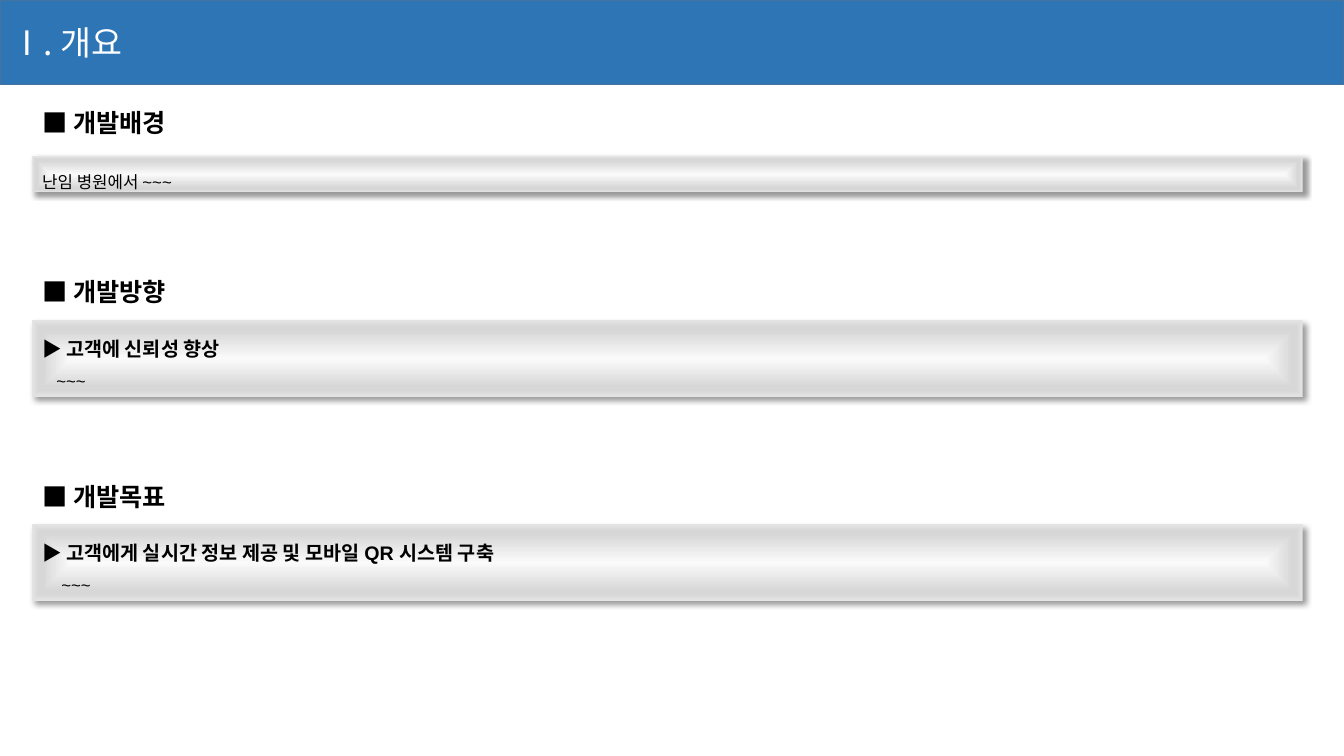
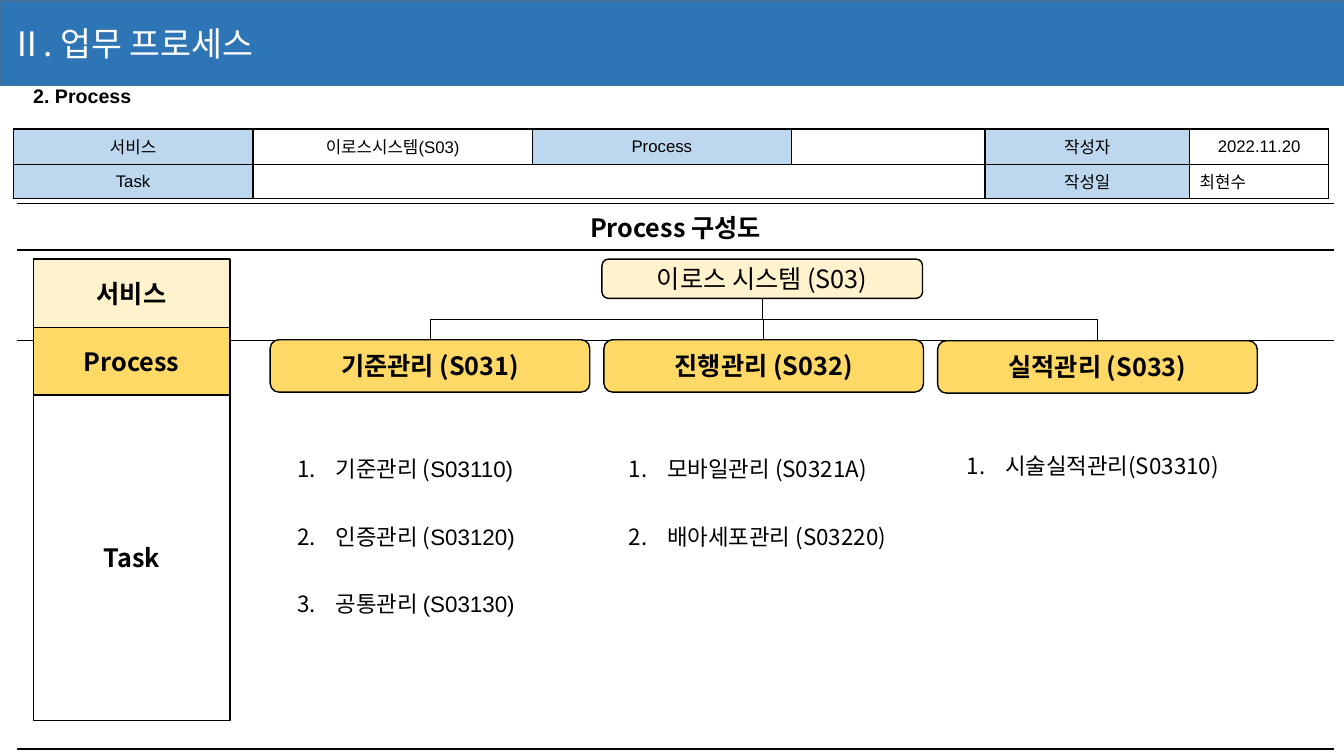
from dataclasses import dataclass
from typing import NamedTuple

from lxml.etree import SubElement as Sub, fromstring as parsed
from pptx import Presentation
from pptx.dml.color import RGBColor as Rgb
from pptx.enum.shapes import MSO_CONNECTOR as Link, MSO_SHAPE as Form
from pptx.enum.text import MSO_ANCHOR as Anchor, MSO_AUTO_SIZE as Fit, PP_ALIGN as Align
from pptx.oxml.ns import nsdecls, qn
from pptx.util import Pt

SCALE = 9144
WIDE, HIGH = 1333, 750


class Look(NamedTuple):
    size: int
    font: str
    bold: bool = False
    color: str = "000000"


@dataclass(frozen=True)
class Theme:
    sans: str = "Noto Sans CJK KR"
    plain: str = "Arial"
    ink: str = "000000"
    band: str = "2E75B6"
    edge: str = "43739E"
    cream: str = "FFF2CC"
    gold: str = "FFD966"
    sky: str = "BDD7EE"
    glow: tuple = ((0, "FAFAFA"), (74, "D7D7D7"), (83, "D7D7D7"), (100, "E4E4E4"))
    bare: str = "{2D5ABB26-0587-4C30-8999-92F81FD0307C}"

    title = Look(24, sans, color="FFFFFF")
    head = Look(18, sans, True)
    root = Look(18, sans)
    item = Look(16, sans)
    lead = Look(14, plain, True)
    body = Look(12, plain)


T = Theme()


class Box(NamedTuple):
    x: int
    y: int
    w: int
    h: int

    def emu(self) -> list:
        return [px(v) for v in self]


class Line(NamedTuple):
    text: str
    look: Look
    inset: int = 0


class Part(NamedTuple):
    head: str
    top: int
    panel: Box
    lines: list


class Node(NamedTuple):
    text: str
    box: Box
    fill: str | None
    look: Look = T.head
    form: Form = Form.RECTANGLE


class Tasks(NamedTuple):
    box: Box
    items: list


def px(size: int) -> int:
    return round(size * SCALE)


def style(para, look: Look) -> None:
    font = para.font
    font.size, font.bold, font.name = Pt(look.size), look.bold, look.font
    font.color.rgb = Rgb.from_string(look.color)
    props = para._p.pPr.find(qn("a:defRPr"))
    Sub(props, qn("a:ea")).set("typeface", T.sans)


def paint(shape, fill: str | None, line: str | None) -> None:
    if fill:
        shape.fill.solid()
        shape.fill.fore_color.rgb = Rgb.from_string(fill)
    else:
        shape.fill.background()
    if line:
        shape.line.color.rgb = Rgb.from_string(line)
        shape.line.width = Pt(1)
    else:
        shape.line.fill.background()


def frame(shape, anchor=Anchor.TOP, wrap=True):
    text = shape.text_frame
    text.word_wrap, text.auto_size, text.vertical_anchor = wrap, Fit.NONE, anchor
    return text


def start(deck, name: str, top: int):
    slide = deck.slides.add_slide(deck.slide_layouts[5])
    title = slide.shapes.title
    title.left, title.top, title.width, title.height = Box(0, top, WIDE, 84).emu()
    paint(title, T.band, T.edge)
    para = frame(title, Anchor.MIDDLE).paragraphs[0]
    para.text, para.alignment = name, Align.LEFT
    style(para, T.title)
    return slide


def label(slide, text: str, box: Box, look: Look, anchor=Anchor.TOP) -> None:
    para = frame(slide.shapes.add_textbox(*box.emu()), anchor, False).paragraphs[0]
    para.text = text
    style(para, look)


def panel(slide, box: Box, lines: list) -> None:
    shape = slide.shapes.add_shape(Form.RECTANGLE, *box.emu())
    shape.line.fill.background()
    shape.shadow.inherit = False
    stops = "".join(
        f'<a:gs pos="{pos * 1000}"><a:srgbClr val="{color}"/></a:gs>' for pos, color in T.glow
    )
    props = shape.element.spPr
    props.find(qn("a:prstGeom")).addnext(parsed(
        f'<a:gradFill {nsdecls("a")} rotWithShape="1"><a:gsLst>{stops}</a:gsLst>'
        '<a:path path="shape"><a:fillToRect l="50000" t="50000" r="50000" b="50000"/>'
        "</a:path></a:gradFill>"
    ))
    props.find(qn("a:effectLst")).append(parsed(
        f'<a:outerShdw {nsdecls("a")} blurRad="{Pt(4)}" dist="{Pt(3)}" dir="2700000" '
        'algn="tl" rotWithShape="0"><a:srgbClr val="000000"><a:alpha val="40000"/>'
        "</a:srgbClr></a:outerShdw>"
    ))
    text = frame(shape)
    for i, line in enumerate(lines):
        para = text.add_paragraph() if i else text.paragraphs[0]
        para.text, para.alignment, para.line_spacing = line.text, Align.LEFT, 1.5
        para._p.get_or_add_pPr().set("marL", str(px(line.inset)))
        style(para, line.look)


def draw(slide, node: Node):
    shape = slide.shapes.add_shape(node.form, *node.box.emu())
    shape.shadow.inherit = False
    paint(shape, node.fill, T.ink)
    para = frame(shape, Anchor.MIDDLE).paragraphs[0]
    para.text, para.alignment = node.text, Align.CENTER
    style(para, node.look)
    return shape


def join(slide, root, node) -> None:
    link = slide.shapes.add_connector(Link.ELBOW, 0, 0, 0, 0)
    link.begin_connect(root, 2)
    link.end_connect(node, 0)
    x, y = link.begin_x, link.begin_y
    run, drop = link.end_x - x, link.end_y - y
    link.left, link.top = x + (run - drop) // 2, y + (drop - abs(run)) // 2
    link.width, link.height = drop, abs(run)
    props = link.element.spPr
    xfrm = props.find(qn("a:xfrm"))
    for flip in ("flipH", "flipV"):
        xfrm.attrib.pop(flip, None)
    xfrm.set("rot", "5400000" if run < 0 else "16200000")
    if run >= 0:
        xfrm.set("flipH", "1")
    link.line.color.rgb = Rgb.from_string(T.ink)
    link.line.width = Pt(0.5)
    Sub(props, qn("a:effectLst"))


def tasks(slide, group: Tasks) -> None:
    text = frame(slide.shapes.add_textbox(*group.box.emu()))
    for i, runs in enumerate(group.items):
        para = text.add_paragraph() if i else text.paragraphs[0]
        para.line_spacing = 2.5
        props = para._p.get_or_add_pPr()
        props.set("marL", str(px(38)))
        props.set("indent", str(px(-38)))
        Sub(props, qn("a:buAutoNum")).set("type", "arabicPeriod")
        style(para, T.item)
        for words, font in runs:
            run = para.add_run()
            run.text = words
            if font != T.item.font:
                run.font.name = font


def grid(slide, x: int, y: int, cols: list, rows: list):
    box = Box(x, y, sum(cols), sum(rows))
    holder = slide.shapes.add_table(len(rows), len(cols), *box.emu())
    table = holder.table
    table.first_row = table.horz_banding = False
    table._tbl.tblPr.find(qn("a:tableStyleId")).text = T.bare
    for col, size in zip(table.columns, cols):
        col.width = px(size)
    for row, size in zip(table.rows, rows):
        row.height = px(size)
    return table


def cell(spot, text: str, look: Look, sides: str, fill: str | None = None,
         align=Align.CENTER) -> None:
    spot.margin_top = spot.margin_bottom = 0
    spot.vertical_anchor = Anchor.MIDDLE
    props = spot._tc.get_or_add_tcPr()
    for side in sides:
        props.append(parsed(
            f'<a:ln{side} {nsdecls("a")} w="{Pt(1)}"><a:solidFill>'
            f'<a:srgbClr val="{T.ink}"/></a:solidFill></a:ln{side}>'
        ))
    if fill:
        spot.fill.solid()
        spot.fill.fore_color.rgb = Rgb.from_string(fill)
    else:
        spot.fill.background()
    para = spot.text_frame.paragraphs[0]
    para.text, para.alignment = text, align
    style(para, look)


def scope(deck) -> None:
    slide = start(deck, "Ⅰ. 개요", 0)
    parts = [
        Part("개발배경", 102, Box(32, 155, 1260, 36), [Line("난임 병원에서 ~~~", T.body)]),
        Part("개발방향", 269, Box(32, 318, 1260, 76),
             [Line("▶ 고객에 신뢰성 향상", T.lead), Line("~~~", T.body, 14)]),
        Part("개발목표", 473, Box(32, 520, 1260, 76),
             [Line("▶ 고객에게 실시간 정보 제공 및 모바일 QR 시스템 구축", T.lead),
              Line("~~~", T.body, 19)]),
    ]
    for part in parts:
        label(slide, f"■ {part.head}", Box(32, part.top, 155, 40), T.head)
        panel(slide, part.panel, part.lines)


def flow(deck) -> None:
    slide = start(deck, "Ⅱ. 업무 프로세스", 1)
    label(slide, "2. Process", Box(23, 82, 179, 26), T.lead, Anchor.MIDDLE)

    info = grid(slide, 13, 128, [238, 277, 257, 192, 203, 138], [35, 34])
    words = [
        ["서비스", "이로스시스템(S03)", "Process", "", "작성자", "2022.11.20"],
        ["Task", "", "", "", "작성일", "최현수"],
    ]
    keys = {"서비스", "Process", "작성자", "Task", "작성일"}
    for r, row in enumerate(words):
        for c, text in enumerate(row):
            align = Align.LEFT if text == "최현수" else Align.CENTER
            cell(info.cell(r, c), text, T.body, "LRTB", T.sky if text in keys else None, align)
    info.cell(1, 1).merge(info.cell(1, 3))

    chart = grid(slide, 17, 202, [1306], [46, 90, 90, 90, 225])
    rules = ["TB", "T", "", "", "B"]
    for r, sides in enumerate(rules):
        cell(chart.cell(r, 0), "" if r else "Process 구성도", T.head, sides)

    side = [("서비스", 257, 68, T.cream), ("Process", 325, 67, T.gold), ("Task", 392, 323, None)]
    for text, top, high, fill in side:
        draw(slide, Node(text, Box(33, top, 195, high), fill))

    soft = Form.ROUNDED_RECTANGLE
    root = draw(slide, Node("이로스 시스템 (S03)", Box(597, 257, 318, 39), T.cream, T.root, soft))
    tops = [("기준관리 (S031)", 268, 337), ("진행관리 (S032)", 599, 337), ("실적관리 (S033)", 930, 338)]
    for text, left, top in tops:
        node = draw(slide, Node(text, Box(left, top, 317, 52), T.gold, T.head, soft))
        join(slide, root, node)

    groups = [
        Tasks(Box(285, 407, 280, 275), [
            [("기준관리 (", T.sans), ("S03110)", T.plain)],
            [("인증관리 (", T.sans), ("S03120)", T.plain)],
            [("공통관리 (S03130)", T.plain)],
        ]),
        Tasks(Box(614, 407, 280, 275), [
            [("모바일관리 (S0321A)", T.sans)],
            [("배아세포관리 (S03220)", T.sans)],
        ]),
        Tasks(Box(949, 404, 284, 241), [[("시술실적관리(S03310)", T.sans)]]),
    ]
    for group in groups:
        tasks(slide, group)


def main() -> None:
    deck = Presentation()
    deck.slide_width, deck.slide_height = px(WIDE), px(HIGH)
    scope(deck)
    flow(deck)
    deck.save("out.pptx")


if __name__ == "__main__":
    main()
